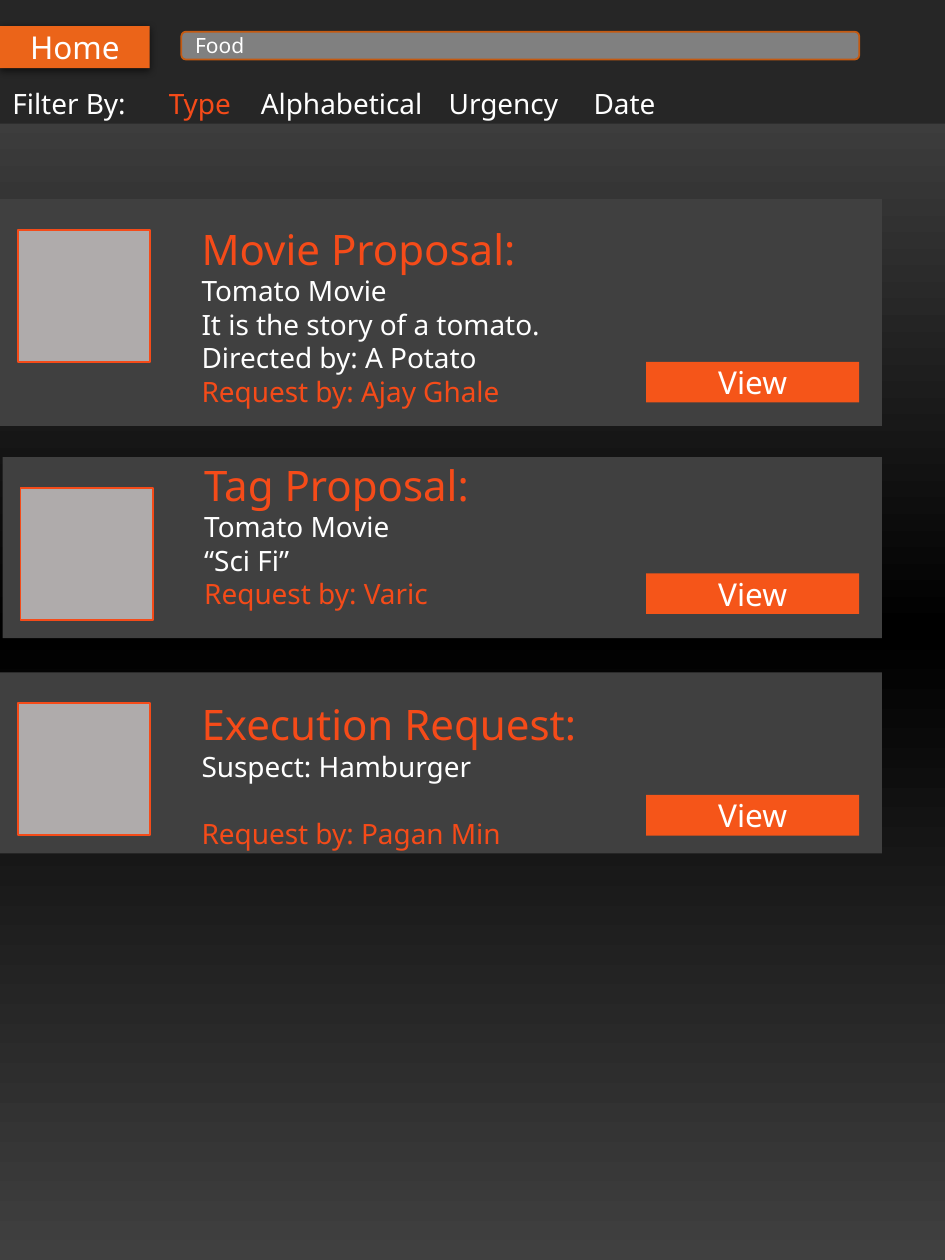
from copy import deepcopy
from dataclasses import dataclass

from lxml.etree import SubElement
from pptx import Presentation
from pptx.dml.color import RGBColor
from pptx.enum.shapes import MSO_SHAPE
from pptx.enum.text import MSO_ANCHOR, PP_ALIGN
from pptx.oxml.ns import qn
from pptx.util import Pt


@dataclass(frozen=True)
class Theme:
    font: str = "Noto Sans"
    white: str = "FFFFFF"
    accent: str = "F54B19"
    header: str = "262626"
    card: str = "404040"
    thumbnail: str = "AFABAB"
    search: str = "808080"
    search_line: str = "C55A11"
    home: str = "EB6419"
    button: str = "F55519"
    title_size: int = 24
    button_size: int = 18
    body_size: int = 16
    search_size: int = 12
    line_factor: float = 1.2


THEME = Theme()

# Content; lengths in points
BACKGROUND_STOPS = [(0, "4B4B4B"), (0.5, "000000"), (1, "404040")]
FILTER_LABEL = "Filter By:"
FILTERS = [("Type", 89.4), ("Alphabetical", 142), ("Urgency", 249.3), ("Date", 332.1)]
ACTIVE_FILTER = "Type"
CARDS = [
    dict(left=0, top=113.8, height=129.6, text_top=13.8, button_top=206.8, request_gap=0,
         title="Movie Proposal:", request="Request by: Ajay Ghale",
         details=["Tomato Movie", "It is the story of a tomato.", "Directed by: A Potato"]),
    dict(left=1.5, top=261.2, height=103.5, text_top=1.2, button_top=327.6, request_gap=0,
         title="Tag Proposal:", request="Request by: Varic",
         details=["Tomato Movie", "“Sci Fi”"]),
    dict(left=0, top=384.2, height=103.5, text_top=15.2, button_top=454.3, request_gap=19.2,
         title="Execution Request:", request="Request by: Pagan Min",
         details=["Suspect: Hamburger"]),
]
CARD_RIGHT = 504
CARD_TEXT_INDENT = 115.2
THUMBNAIL_SIZE = 75.6
THUMBNAIL_OFFSET = (10.2, 17.5)
BUTTON_LEFT, BUTTON_WIDTH, BUTTON_HEIGHT = 369.2, 121.8, 23.2

presentation = Presentation()
presentation.slide_width, presentation.slide_height = Pt(540), Pt(720)
slide = presentation.slides.add_slide(presentation.slide_layouts[6])


def add_box(left, top, width, height, fill, line=None, kind=MSO_SHAPE.RECTANGLE):
    shape = slide.shapes.add_shape(kind, Pt(left), Pt(top), Pt(width), Pt(height))
    shape.shadow.inherit = False
    shape.fill.solid()
    shape.fill.fore_color.rgb = RGBColor.from_string(fill)
    if line:
        shape.line.color.rgb = RGBColor.from_string(line)
        shape.line.width = Pt(1)
    else:
        shape.line.fill.background()
    return shape


def format_run(run, size, color):
    run.font.name = THEME.font
    run.font.size = Pt(size)
    run.font.color.rgb = RGBColor.from_string(color)


def set_label(shape, text, size, alignment=PP_ALIGN.CENTER):
    frame = shape.text_frame
    frame.vertical_anchor = MSO_ANCHOR.MIDDLE
    frame.text = text
    frame.paragraphs[0].alignment = alignment
    format_run(frame.paragraphs[0].runs[0], size, THEME.white)


def add_card(card):
    left, top = card["left"], card["top"]
    panel = add_box(left, top, CARD_RIGHT - left, card["height"], THEME.card)
    frame = panel.text_frame
    frame.vertical_anchor = MSO_ANCHOR.TOP
    frame.margin_top = Pt(card["text_top"])
    frame.margin_left = Pt(CARD_TEXT_INDENT)
    frame.text = "\n".join([card["title"], *card["details"], card["request"]])
    last = len(frame.paragraphs) - 1
    for index, paragraph in enumerate(frame.paragraphs):
        size = THEME.body_size if index else THEME.title_size
        color = THEME.accent if index in (0, last) else THEME.white
        paragraph.alignment = PP_ALIGN.LEFT
        paragraph.line_spacing = Pt(size * THEME.line_factor)
        format_run(paragraph.runs[0], size, color)
    frame.paragraphs[last].space_before = Pt(card["request_gap"])

    offset_x, offset_y = THUMBNAIL_OFFSET
    add_box(left + offset_x, top + offset_y, THUMBNAIL_SIZE, THUMBNAIL_SIZE,
            THEME.thumbnail, THEME.accent)
    button = add_box(BUTTON_LEFT, card["button_top"], BUTTON_WIDTH, BUTTON_HEIGHT, THEME.button)
    set_label(button, "View", THEME.button_size)


# Background gradient
background = slide.background.fill
background.gradient()
background.gradient_angle = 270
stop_list = slide.element.find(".//" + qn("a:gsLst"))
stop_list.append(deepcopy(stop_list[0]))
for stop, (position, color) in zip(background.gradient_stops, BACKGROUND_STOPS):
    stop.position = position
    stop.color.rgb = RGBColor.from_string(color)

# Header with filters on tab stops
header = add_box(0, 0, 540, 70.7, THEME.header)
frame = header.text_frame
frame.vertical_anchor = MSO_ANCHOR.BOTTOM
frame.margin_bottom = Pt(1.9)
paragraph = frame.paragraphs[0]
paragraph.alignment = PP_ALIGN.LEFT
tab_list = SubElement(paragraph._p.get_or_add_pPr(), qn("a:tabLst"))
label = paragraph.add_run()
label.text = FILTER_LABEL
format_run(label, THEME.body_size, THEME.white)
for name, position in FILTERS:
    SubElement(tab_list, qn("a:tab"), pos=str(Pt(position)), algn="l")
    run = paragraph.add_run()
    run.text = "\t" + name
    format_run(run, THEME.body_size, THEME.accent if name == ACTIVE_FILTER else THEME.white)

# Search field and home button
search = add_box(103.6, 18.1, 387.4, 15.9, THEME.search, THEME.search_line,
                 MSO_SHAPE.ROUNDED_RECTANGLE)
set_label(search, "Food", THEME.search_size, PP_ALIGN.LEFT)
home = add_box(0, 15, 85.6, 24, THEME.home)
set_label(home, "Home", THEME.button_size)
effects = home.element.spPr.find(qn("a:effectLst"))
shadow = SubElement(effects, qn("a:outerShdw"), blurRad=str(Pt(4.5)), dist=str(Pt(1.5)),
                    dir="5400000", algn="ctr", rotWithShape="0")
shadow_color = SubElement(shadow, qn("a:srgbClr"), val="000000")
SubElement(shadow_color, qn("a:alpha"), val="63000")

# Request cards
for card in CARDS:
    add_card(card)

presentation.save("out.pptx")
